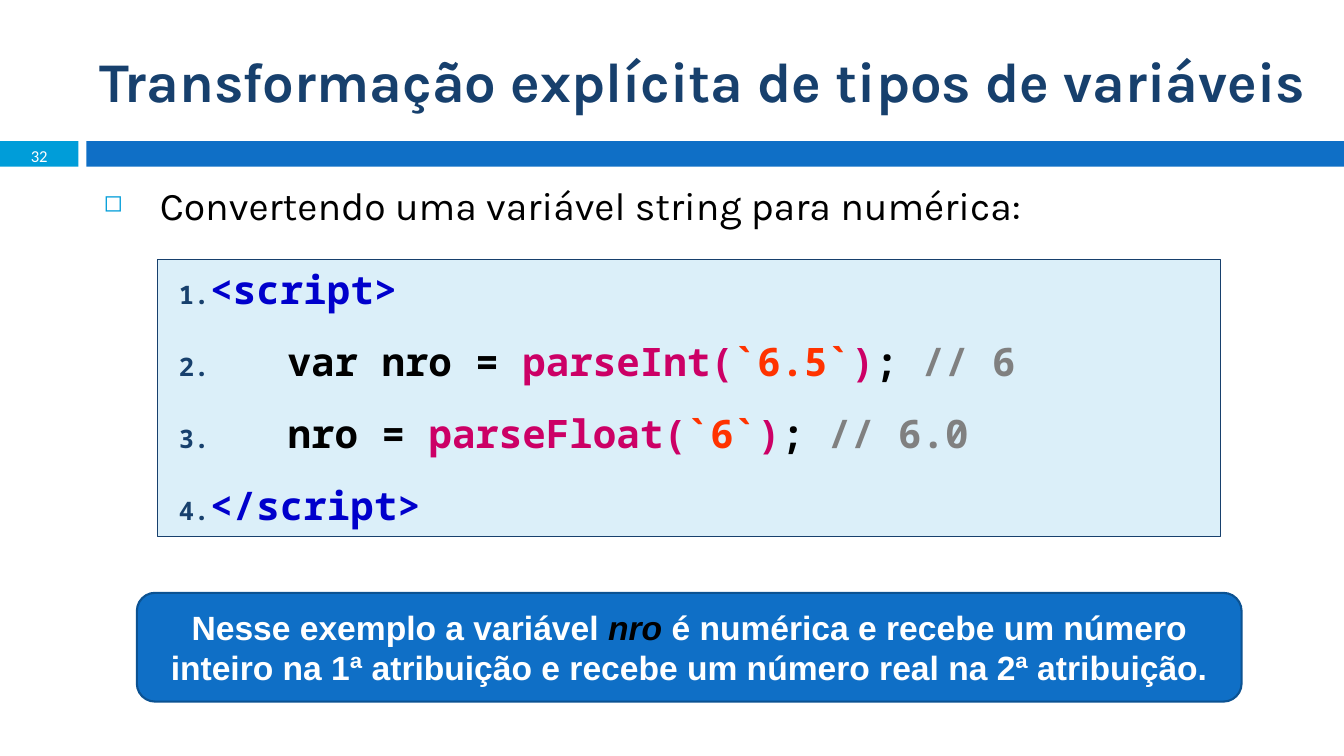
from lxml import etree
from pptx import Presentation
from pptx.dml.color import RGBColor
from pptx.enum.shapes import MSO_SHAPE
from pptx.enum.text import MSO_ANCHOR, MSO_AUTO_SIZE, PP_ALIGN
from pptx.oxml.ns import qn
from pptx.util import Cm, Pt

NAVY, BLUE, CYAN = "17406D", "0F6FC6", "009DD9"
BLACK, WHITE = "000000", "FFFFFF"
TAG, CALL, LITERAL, REMARK = "0000CC", "CC0066", "FF3300", "808080"

CODE_LINES = [
    (1, [("<script>", TAG)]),
    (3.04, [("var nro = ", BLACK), ("parseInt(", CALL), ("`6.5`", LITERAL),
            (")", CALL), (";", BLACK), (" // 6", REMARK)]),
    (3.04, [("nro = ", BLACK), ("parseFloat(", CALL), ("`6`", LITERAL),
            (")", CALL), ("; ", BLACK), ("// 6.0", REMARK)]),
    (1, [("</script>", TAG)]),
]


def rgb(color):
    return RGBColor.from_string(color)


def add_run(paragraph, text, size, font, color, bold=False, italic=False):
    run = paragraph.add_run()
    run.text = text
    run.font.size = Pt(size)
    run.font.name = font
    run.font.bold = bold
    run.font.italic = italic
    run.font.color.rgb = rgb(color)


def add_box(slide, preset, place, fill, line=None, line_width=0):
    box = slide.shapes.add_shape(preset, *map(Cm, place))
    box.shadow.inherit = False
    box.fill.solid()
    box.fill.fore_color.rgb = rgb(fill)
    if line:
        box.line.color.rgb = rgb(line)
        box.line.width = Pt(line_width)
    else:
        box.line.fill.background()
    box.text_frame.word_wrap = True
    return box


def add_text(slide, place, anchor=MSO_ANCHOR.TOP):
    frame = slide.shapes.add_textbox(*map(Cm, place)).text_frame
    frame.word_wrap = True
    frame.vertical_anchor = anchor
    return frame


def set_bullet(paragraph, margin, mark_at, color, percent, kind, **mark):
    """Hang a coloured bullet at mark_at, with the text starting at margin (cm)."""
    props = paragraph._p.get_or_add_pPr()
    props.set("marL", str(Cm(margin)))
    props.set("indent", str(Cm(mark_at - margin)))
    bullet_color = etree.SubElement(props, qn("a:buClr"))
    etree.SubElement(bullet_color, qn("a:srgbClr"), val=color)
    etree.SubElement(props, qn("a:buSzPct"), val=str(percent * 1000))
    etree.SubElement(props, qn(kind), **mark)


def add_header(slide):
    add_box(slide, MSO_SHAPE.RECTANGLE, (0, 3.56, 1.98, 0.64), CYAN)
    add_box(slide, MSO_SHAPE.RECTANGLE, (2.18, 3.56, 31.69, 0.64), BLUE)
    title = add_text(slide, (2.26, 0.64, 31.06, 2.74), MSO_ANCHOR.MIDDLE)
    add_run(title.paragraphs[0], "Transformação explícita de tipos de variáveis",
            40, "Karla", NAVY, bold=True)
    page = add_text(slide, (0, 3.58, 1.98, 0.69), MSO_ANCHOR.MIDDLE)
    page.paragraphs[0].alignment = PP_ALIGN.CENTER
    add_run(page.paragraphs[0], "32", 11.9, "Calibri", WHITE)


def add_topic(slide):
    topic = add_text(slide, (2.26, 4.45, 30.2, 13.87)).paragraphs[0]
    set_bullet(topic, 1.52, 0.1, CYAN, 60, "a:buChar", char="◻")
    add_run(topic, "Convertendo uma variável string para numérica:", 28, "Karla", BLACK)


def add_code(slide):
    code = add_box(slide, MSO_SHAPE.RECTANGLE, (3.96, 6.55, 26.8, 6.96),
                   "DBEFF9", NAVY, 0.75).text_frame
    code.vertical_anchor = MSO_ANCHOR.TOP
    code.auto_size = MSO_AUTO_SIZE.SHAPE_TO_FIT_TEXT
    for number, (margin, parts) in enumerate(CODE_LINES):
        line = code.add_paragraph() if number else code.paragraphs[0]
        line.alignment = PP_ALIGN.LEFT
        line.space_before, line.space_after = Pt(12), Pt(6)
        set_bullet(line, margin, 0.3, NAVY, 65, "a:buAutoNum", type="arabicPeriod")
        for text, color in parts:
            add_run(line, text, 28, "Noto Sans Mono", color, bold=True)


def add_note(slide):
    note = add_box(slide, MSO_SHAPE.ROUNDED_RECTANGLE, (3.45, 14.94, 27.84, 2.74),
                   BLUE, "0B5292", 1.5).text_frame
    note.vertical_anchor = MSO_ANCHOR.MIDDLE
    sentence = note.paragraphs[0]
    sentence.alignment = PP_ALIGN.CENTER
    add_run(sentence, "Nesse exemplo a variável ", 24, "Arial", WHITE, bold=True)
    add_run(sentence, "nro ", 24, "Arial", BLACK, bold=True, italic=True)
    add_run(sentence, "é numérica e recebe um número inteiro na 1ª atribuição "
            "e recebe um número real na 2ª atribuição.", 24, "Arial", WHITE, bold=True)


def main():
    deck = Presentation()
    deck.slide_width, deck.slide_height = Cm(33.87), Cm(19.05)
    slide = deck.slides.add_slide(deck.slide_layouts[6])
    add_header(slide)
    add_topic(slide)
    add_code(slide)
    add_note(slide)
    deck.save("out.pptx")


if __name__ == "__main__":
    main()
